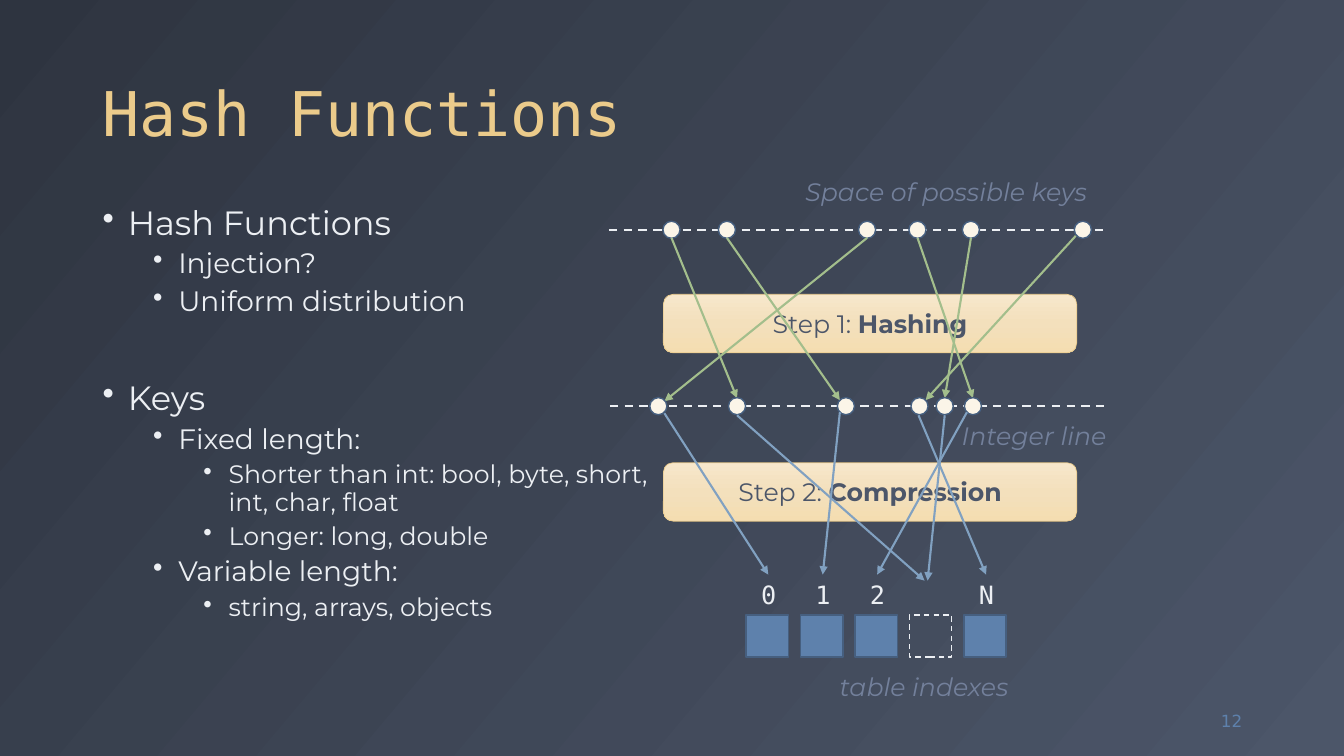
from copy import deepcopy

from lxml.etree import SubElement
from pptx import Presentation
from pptx.dml.color import RGBColor
from pptx.enum.dml import MSO_LINE
from pptx.enum.shapes import MSO_CONNECTOR, MSO_SHAPE
from pptx.enum.text import MSO_ANCHOR, MSO_AUTO_SIZE, PP_ALIGN
from pptx.oxml.ns import qn
from pptx.util import Inches, Pt

COLORS = {
    "night": "2E3440", "slate": "4C5669", "snow": "ECEFF3", "gold": "EBCB8B",
    "mute": "73809B", "blue": "5E81AC", "edge": "465F7F", "cream": "FBF5E8",
    "green": "A3BE8C", "sky": "81A1C1",
    "sand1": "F7E7CB", "sand2": "F3E0BC", "sand3": "F4DDB1",
}
SANS = "Montserrat"
MONO = "DejaVu Sans Mono"
SIZES = [24, 20, 18]
DOT = 0.17
CELL = 0.42
PITCH = 0.54
POINTS = [
    (0, "Hash Functions", 10),
    (1, "Injection?", 5),
    (1, "Uniform distribution", 5),
    (0, "Keys", 46),
    (1, "Fixed length:", 5),
    (2, "Shorter than int: bool, byte, short, int, char, float", 5),
    (2, "Longer: long, double", 5),
    (1, "Variable length:", 5),
    (2, "string, arrays, objects", 5),
]
KEYS = [0.62, 1.17, 2.56, 3.06, 3.59, 4.7]
INTS = [0.48, 1.26, 2.34, 3.07, 3.32, 3.6]
HASHES = [
    (0.62, 0.08, 1.27, 1.67), (1.17, 0.08, 2.29, 1.69),
    (3.06, 0.08, 3.61, 1.67), (4.63, 0.06, 3.14, 1.69),
    (2.56, 0.08, 0.55, 1.7), (3.59, 0.08, 3.33, 1.67),
]
SLOTS = [(0.54, 0.07, "0"), (2.28, 0.06, "1"), (3.54, 0.06, "2"), (3.06, 0.09, "N")]
GAPS = [(1.26, 0.09, 3.12, 1.73), (3.32, 0.09, 3.15, 1.73)]


def color(name):
    return RGBColor.from_string(COLORS[name])


def add_run(para, text, size, tint, font=SANS, bold=False, italic=False):
    run = para.add_run()
    run.text = text
    run.font.name = font
    run.font.size = Pt(size)
    run.font.bold = bold
    run.font.italic = italic
    run.font.color.rgb = color(tint)


def add_box(slide, x, y, w, h, wrap=True):
    box = slide.shapes.add_textbox(Inches(x), Inches(y), Inches(w), Inches(h))
    box.text_frame.word_wrap = wrap
    if not wrap:
        box.text_frame.auto_size = MSO_AUTO_SIZE.SHAPE_TO_FIT_TEXT
    return box


def add_note(slide, x, y, w, text):
    box = add_box(slide, x, y, w, 0.4, False)
    add_run(box.text_frame.paragraphs[0], text, 18, "mute", italic=True)


def add_form(slide, kind, x, y, w, h, fill, edge, width=1):
    form = slide.shapes.add_shape(kind, Inches(x), Inches(y), Inches(w), Inches(h))
    form.shadow.inherit = False
    if fill:
        form.fill.solid()
        form.fill.fore_color.rgb = color(fill)
    else:
        form.fill.background()
    form.line.color.rgb = color(edge)
    form.line.width = Pt(width)
    return form


def add_line(slide, x1, y1, x2, y2, tint, arrow=True):
    line = slide.shapes.add_connector(
        MSO_CONNECTOR.STRAIGHT, Inches(x1), Inches(y1), Inches(x2), Inches(y2))
    line.line.color.rgb = color(tint)
    line.line.width = Pt(1.5)
    props = line._element.spPr
    if arrow:
        SubElement(props.find(qn("a:ln")), qn("a:tailEnd"), type="triangle")
    else:
        line.line.dash_style = MSO_LINE.DASH
    SubElement(props, qn("a:effectLst"))
    return line


def add_back(slide):
    fill = slide.background.fill
    fill.gradient()
    fill.gradient_angle = 320
    for stop, name in zip(fill.gradient_stops, ["night", "slate"]):
        stop.color.rgb = color(name)


def add_title(slide, x, y, w, h):
    frame = add_box(slide, x, y, w, h).text_frame
    frame.vertical_anchor = MSO_ANCHOR.BOTTOM
    para = frame.paragraphs[0]
    para.line_spacing = 0.9
    add_run(para, "Hash Functions", 44, "gold", MONO)


def add_list(slide, x, y, w, h):
    frame = add_box(slide, x, y, w, h).text_frame
    for i, (level, text, space) in enumerate(POINTS):
        para = frame.add_paragraph() if i else frame.paragraphs[0]
        para.level = level
        para.line_spacing = 0.9
        para.space_before = Pt(space)
        props = para._p.get_or_add_pPr()
        props.set("marL", str(Inches(0.25 + 0.5 * level)))
        props.set("indent", str(Inches(-0.25)))
        SubElement(props, qn("a:buChar"), char="•")
        add_run(para, text, SIZES[level], "snow")


def add_page(slide, x, y, w, h):
    frame = add_box(slide, x, y, w, h).text_frame
    frame.vertical_anchor = MSO_ANCHOR.MIDDLE
    para = frame.paragraphs[0]
    para.alignment = PP_ALIGN.RIGHT
    add_run(para, "12", 12, "blue", "DejaVu Sans")


def add_rail(slide, x, y, w, dots):
    add_line(slide, x, y, x + w, y, "snow", False)
    for dot in dots:
        add_form(slide, MSO_SHAPE.OVAL, x + dot - DOT / 2, y - DOT / 2,
                 DOT, DOT, "cream", "edge")


def add_step(slide, x, y, w, h, label, name):
    form = add_form(slide, MSO_SHAPE.ROUNDED_RECTANGLE, x, y, w, h,
                    "sand1", "gold", 0.5)
    form.fill.gradient()
    form.fill.gradient_angle = 270
    first = form._element.spPr.find(".//" + qn("a:gs"))
    first.addnext(deepcopy(first))
    tints = ["sand1", "sand2", "sand3"]
    for i, (stop, tint) in enumerate(zip(form.fill.gradient_stops, tints)):
        stop.position = i / 2
        stop.color.rgb = color(tint)
    form.text_frame.vertical_anchor = MSO_ANCHOR.MIDDLE
    para = form.text_frame.paragraphs[0]
    para.alignment = PP_ALIGN.CENTER
    add_run(para, label, 18, "slate")
    add_run(para, name, 18, "slate", bold=True)


def add_cells(slide, x, y):
    tags = {}
    for i, text in enumerate(["0", "1", "2", "", "N"]):
        left = x + PITCH * i
        if text:
            add_form(slide, MSO_SHAPE.RECTANGLE, left, y + 0.4, CELL, CELL, "blue", "edge")
            tags[text] = add_box(slide, left + 0.05, y, 0.34, 0.4, False)
            add_run(tags[text].text_frame.paragraphs[0], text, 18, "snow", MONO)
        else:
            gap = add_form(slide, MSO_SHAPE.RECTANGLE, left, y + 0.4, CELL, CELL, None, "snow")
            gap.line.dash_style = MSO_LINE.DASH
    add_note(slide, x + 0.83, y + 0.91, 1.91, "table indexes")
    return tags


def add_hashing(slide, x, y, w):
    add_note(slide, x + 1.85, y - 0.58, 3.04, "Space of possible keys")
    add_rail(slide, x, y, w, KEYS)
    add_step(slide, x + 0.54, y + 0.64, 4.1, 0.58, "Step 1: ", "Hashing")
    for x1, y1, x2, y2 in HASHES:
        add_line(slide, x + x1, y + y1, x + x2, y + y2, "green")


def add_packing(slide, x, y, w):
    add_rail(slide, x, y, w, INTS)
    add_note(slide, x + 3.39, y + 0.09, 1.66, "Integer line")
    add_step(slide, x + 0.53, y + 0.56, 4.1, 0.58, "Step 2: ", "Compression")
    tags = add_cells(slide, x + 1.35, y + 1.67)
    for x1, y1, text in SLOTS:
        link = add_line(slide, x + x1, y + y1, x + x1, y + 1.67, "sky")
        link.end_connect(tags[text], 0)
    for x1, y1, x2, y2 in GAPS:
        add_line(slide, x + x1, y + y1, x + x2, y + y2, "sky")


def main():
    deck = Presentation()
    deck.slide_width = Inches(13.33)
    deck.slide_height = Inches(7.5)
    slide = deck.slides.add_slide(deck.slide_layouts[6])
    add_back(slide)
    add_title(slide, 0.92, 0.18, 11.5, 1.36)
    add_list(slide, 0.92, 2, 5.67, 4.76)
    add_page(slide, 11.59, 6.95, 0.83, 0.4)
    add_hashing(slide, 6.04, 2.28, 4.96)
    add_packing(slide, 6.05, 4.03, 4.96)
    deck.save("out.pptx")


if __name__ == "__main__":
    main()
